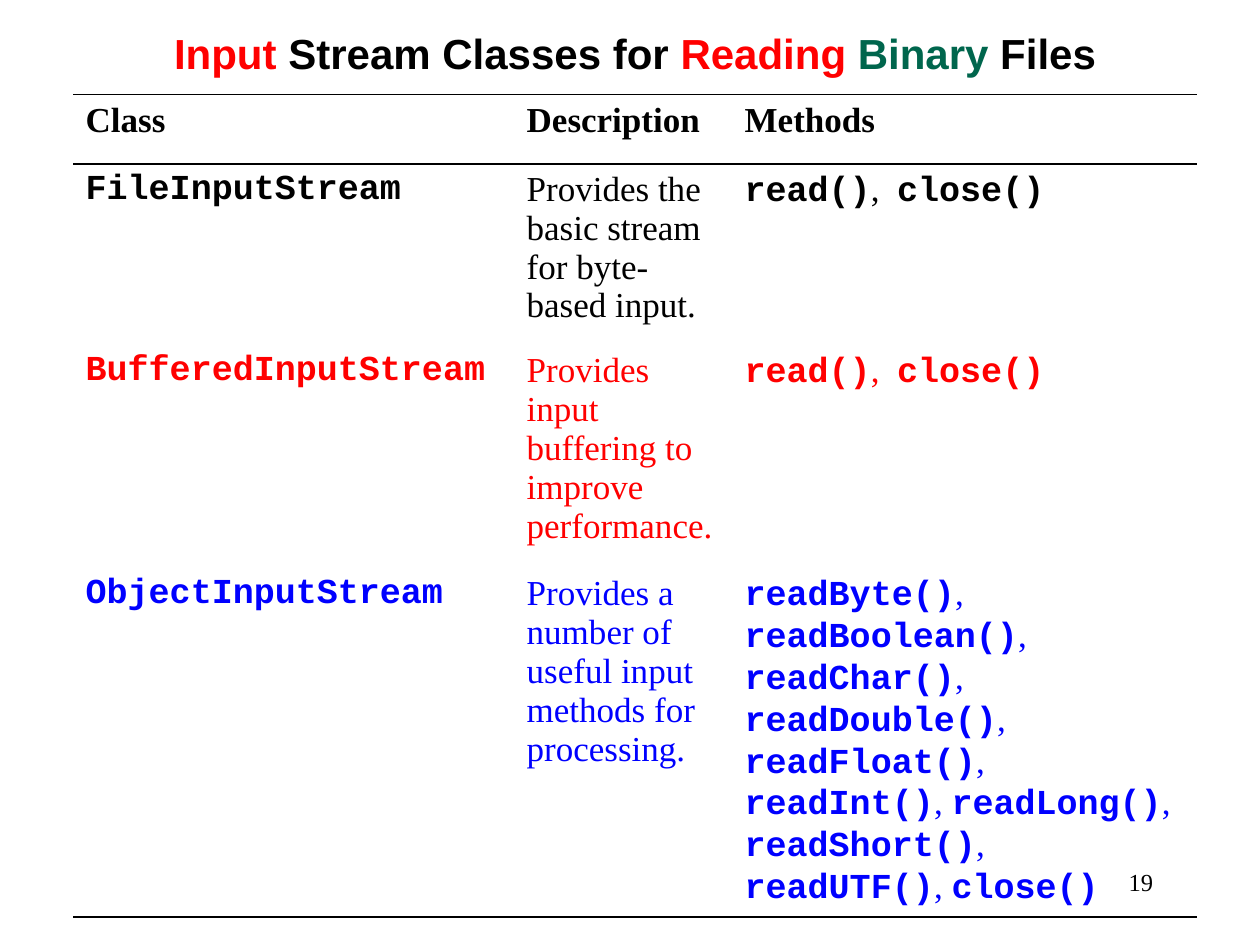
from lxml import etree
from pptx import Presentation, util as u
from pptx.dml.color import RGBColor
from pptx.enum import text
from pptx.oxml.ns import qn

HUES = {"black": "000000", "red": "FF0000", "blue": "0000FF", "green": "00664D"}
SERIF, MONO, SANS = "Times New Roman", "Courier New", "Arial"
ALIGN = text.PP_ALIGN


def inch(val):
    return u.Cm(val * 2.54)


class Deck:
    def __init__(self, wide, high):
        self.prs = Presentation()
        self.prs.slide_width, self.prs.slide_height = inch(wide), inch(high)
        self.slide = self.prs.slides.add_slide(self.prs.slide_layouts[6])

    def fill_para(self, para, runs, size, align):
        """Add runs of (words, font, bold, hue) to a paragraph."""
        para.alignment = align
        for words, face, bold, hue in runs:
            run = para.add_run()
            run.text = words
            form = {"name": face, "bold": bold, "size": u.Pt(size)}
            for key, val in form.items():
                setattr(run.font, key, val)
            run.font.color.rgb = RGBColor.from_string(HUES[hue])

    def label(self, box, runs, size, align):
        frame = self.slide.shapes.add_textbox(*map(inch, box)).text_frame
        frame.word_wrap = True
        self.fill_para(frame.paragraphs[0], runs, size, align)

    def edge(self, cell, sides):
        """Rule the named sides of a cell in black and clear the others."""
        props = cell._tc.get_or_add_tcPr()
        for side in "LRTB":
            line = etree.SubElement(props, qn(f"a:ln{side}"), w=str(u.Pt(0.96)))
            if side in sides:
                fill = etree.SubElement(line, qn("a:solidFill"))
                etree.SubElement(fill, qn("a:srgbClr"), val=HUES["black"])
            else:
                etree.SubElement(line, qn("a:noFill"))

    def table(self, left, top, cols, rows, cells, size):
        """Each cell is (align, paragraphs of runs)."""
        box = (left, top, sum(cols), sum(rows))
        grid = self.slide.shapes.add_table(len(rows), len(cols), *map(inch, box)).table
        grid.first_row = grid.horz_banding = False
        for col, wide in zip(grid.columns, cols):
            col.width = inch(wide)
        for row, high in zip(grid.rows, rows):
            row.height = inch(high)
        sides = ["TB", "T"] + [""] * (len(rows) - 3) + ["B"]
        for row, line, rule in zip(grid.rows, cells, sides):
            for cell, (align, paras) in zip(row.cells, line):
                self.edge(cell, rule)
                cell.fill.background()
                frame = cell.text_frame
                for num, runs in enumerate(paras):
                    para = frame.add_paragraph() if num else frame.paragraphs[0]
                    self.fill_para(para, runs, size, align)


def calls(line, hue, gap):
    """Set method names in bold code type and the commas between in serif."""
    runs = []
    for num, name in enumerate(line.split()):
        if num:
            runs.append((gap, SERIF, False, hue))
        runs.append((name.rstrip(","), MONO, True, hue))
    if line.endswith(","):
        runs.append((",", SERIF, False, hue))
    return runs


def entry(name, about, lines, hue, align, gap):
    return [
        (ALIGN.JUSTIFY, [[(name, MONO, True, hue)]]),
        (ALIGN.LEFT, [[(about, SERIF, False, hue)]]),
        (align, [calls(line, hue, gap) for line in lines]),
    ]


def main():
    deck = Deck(10, 7.5)
    deck.label((7.17, 6.83, 2.08, 0.5), [("19", SERIF, False, "black")], 14, ALIGN.RIGHT)
    heads = [
        (align, [[(word, SERIF, True, "black")]])
        for word, align in [("Class", ALIGN.JUSTIFY), ("Description", ALIGN.LEFT),
                            ("Methods", ALIGN.LEFT)]
    ]
    short = ["read(), close()"]
    full = [
        "readByte(), readBoolean(), readChar(), readDouble(), "
        "readFloat(), readInt(), readLong(), readShort(),",
        "readUTF(), close()",
    ]
    cells = [
        heads,
        entry("FileInputStream", "Provides the basic stream for byte-based input.",
              short, "black", ALIGN.JUSTIFY, ",  "),
        entry("BufferedInputStream", "Provides input buffering to improve performance.",
              short, "red", ALIGN.JUSTIFY, ",  "),
        entry("ObjectInputStream", "Provides a number of useful input methods for processing.",
              full, "blue", ALIGN.LEFT, ", "),
    ]
    deck.table(0.58, 0.75, [3.5, 1.73, 3.69], [0.55, 1.44, 1.77, 2.77], cells, 20)
    title = [("Input", "red"), (" Stream Classes for ", "black"), ("Reading ", "red"),
             ("Binary", "green"), (" Files", "black")]
    deck.label((0.33, 0.17, 9.42, 0.5), [(word, SANS, True, hue) for word, hue in title],
               24, ALIGN.CENTER)
    deck.prs.save("out.pptx")


if __name__ == "__main__":
    main()
